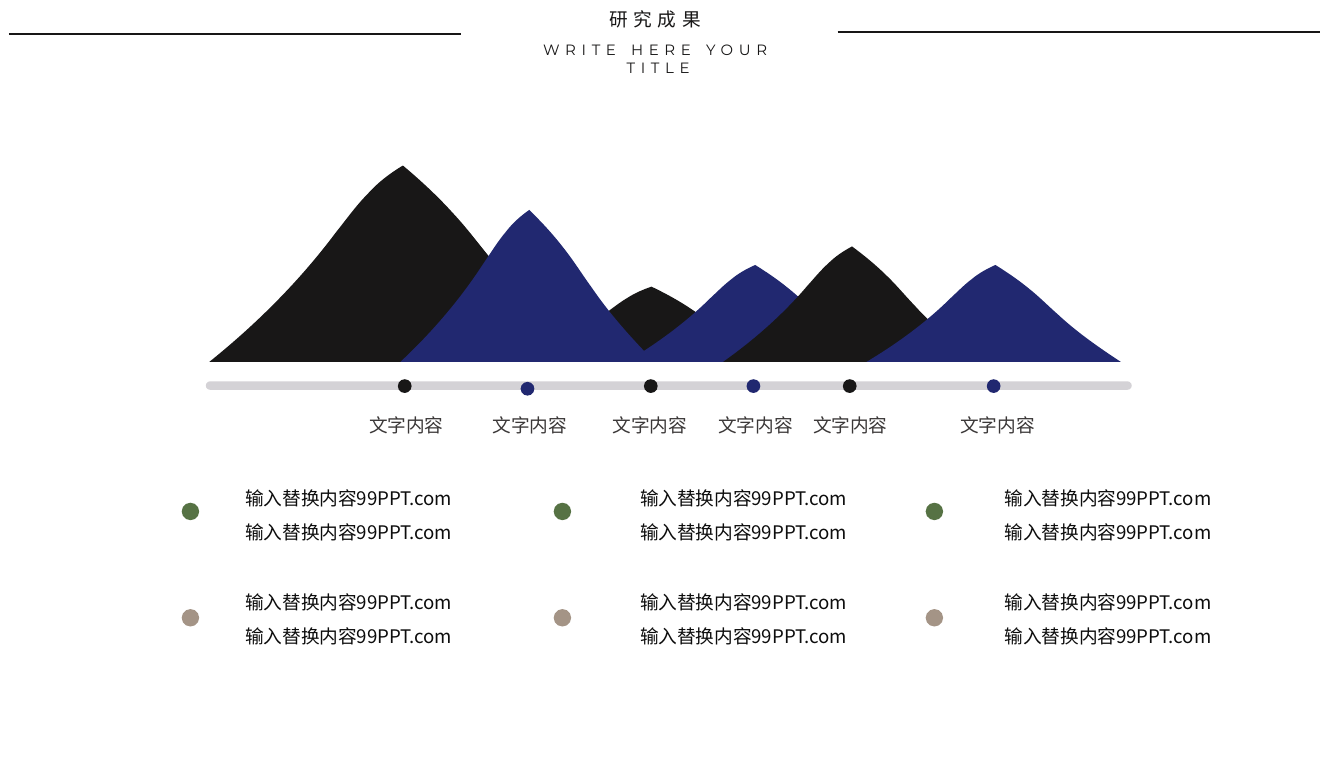
from itertools import product
from typing import NamedTuple

from lxml.etree import SubElement
from pptx import Presentation
from pptx.dml.color import RGBColor
from pptx.enum.shapes import MSO_CONNECTOR, MSO_SHAPE
from pptx.enum.text import MSO_ANCHOR, PP_ALIGN
from pptx.oxml.ns import qn
from pptx.util import Cm, Pt

BLACK = RGBColor(0x18, 0x17, 0x17)
INK = RGBColor(0x0D, 0x0D, 0x0D)
GREY = RGBColor(0x3B, 0x38, 0x38)
SILVER = RGBColor(0xD4, 0xD2, 0xD6)
NAVY = RGBColor(0x21, 0x28, 0x70)
GREEN = RGBColor(0x56, 0x72, 0x44)
TAUPE = RGBColor(0xA4, 0x94, 0x86)
CJK = "Noto Sans CJK SC"
LATIN = "Montserrat"

BASE_Y = 6.84
SLOPE_PERCENTS = [
    ((91.2, 84.9), (82.7, 69.2), (75.4, 51.4)),
    ((71.5, 42.5), (68, 32.9), (63.7, 24)),
    ((59.9, 15.8), (55.3, 7.5), (50.7, 0)),
    ((47.2, 4.1), (44, 8.9), (41.5, 14.4)),
    ((38.4, 20.5), (35.9, 27.4), (33.1, 34.2)),
    ((23.6, 58.9), (12.3, 80.8), (0, 100)),
]


class Mountain(NamedTuple):
    left: float
    width: float
    height: float
    color: RGBColor


class Milestone(NamedTuple):
    dot_x: float
    dot_y: float
    label_x: float
    color: RGBColor


class Style(NamedTuple):
    font: str
    size: float
    color: RGBColor
    align: PP_ALIGN = PP_ALIGN.CENTER
    tracking: int = 0
    line_spacing: float | None = None


MOUNTAINS = [
    Mountain(9.88, 4.8, 1.42, BLACK),
    Mountain(3.96, 7.21, 3.71, BLACK),
    Mountain(7.57, 4.8, 2.87, NAVY),
    Mountain(11.84, 4.8, 1.83, NAVY),
    Mountain(13.67, 4.8, 2.18, BLACK),
    Mountain(16.38, 4.8, 1.83, NAVY),
]
MILESTONES = [
    Milestone(7.65, 7.3, 7.68, BLACK),
    Milestone(9.97, 7.35, 10.01, NAVY),
    Milestone(12.3, 7.3, 12.28, BLACK),
    Milestone(14.24, 7.3, 14.28, NAVY),
    Milestone(16.06, 7.3, 16.07, BLACK),
    Milestone(18.78, 7.3, 18.85, NAVY),
]
HEADING = Style(CJK, 10, BLACK, PP_ALIGN.LEFT, tracking=300)
SUBHEADING = Style(LATIN, 8, BLACK, tracking=300)
LABEL = Style(CJK, 10, GREY, line_spacing=1.2)
BODY = Style(CJK, 10, INK)


def paint(shape, color: RGBColor) -> None:
    shape.shadow.inherit = False
    shape.fill.solid()
    shape.fill.fore_color.rgb = color
    shape.line.fill.background()


def add_rule(slide, left: float, right: float, y: float) -> None:
    rule = slide.shapes.add_connector(
        MSO_CONNECTOR.STRAIGHT, Cm(left), Cm(y), Cm(right), Cm(y))
    rule.line.color.rgb = BLACK
    rule.line.width = Pt(1)
    SubElement(rule._element.spPr, qn("a:effectLst"))


def add_mountain(slide, mountain: Mountain) -> None:
    left, top = Cm(mountain.left), Cm(BASE_Y - mountain.height)
    width, height = Cm(mountain.width), Cm(mountain.height)
    slopes = [[(round(width * x / 100), round(height * y / 100)) for x, y in slope]
              for slope in SLOPE_PERCENTS]
    builder = slide.shapes.build_freeform(left, top + height)
    builder.add_line_segments(
        [(left + width, top + height)] + [(left + x, top + y) for *_, (x, y) in slopes],
        close=True)
    peak = builder.convert_to_shape()
    segments = list(peak._element.iter(qn("a:lnTo")))[1:]
    for segment, slope in zip(segments, slopes):
        curve = segment.makeelement(qn("a:cubicBezTo"))
        for x, y in slope:
            SubElement(curve, qn("a:pt"), x=str(x), y=str(y))
        segment.getparent().replace(segment, curve)
    paint(peak, mountain.color)


def add_dot(slide, x: float, y: float, size: float, color: RGBColor) -> None:
    dot = slide.shapes.add_shape(
        MSO_SHAPE.OVAL, Cm(x - size / 2), Cm(y - size / 2), Cm(size), Cm(size))
    paint(dot, color)


def add_text(slide, lines: list[str], left: float, top: float, width: float,
             height: float, style: Style, wrap: bool = True):
    frame = slide.shapes.add_textbox(Cm(left), Cm(top), Cm(width), Cm(height)).text_frame
    frame.word_wrap = wrap
    for index, line in enumerate(lines):
        paragraph = frame.add_paragraph() if index else frame.paragraphs[0]
        paragraph.text = line
        paragraph.alignment = style.align
        if index:
            paragraph.space_before = Pt(6)
        if style.line_spacing:
            paragraph.line_spacing = style.line_spacing
        paragraph.font.name = style.font
        paragraph.font.size = Pt(style.size)
        paragraph.font.color.rgb = style.color
        defaults = paragraph._p.pPr.find(qn("a:defRPr"))
        SubElement(defaults, qn("a:ea")).set("typeface", style.font)
        if style.tracking:
            defaults.set("spc", str(style.tracking))
    return frame


def add_milestone(slide, milestone: Milestone) -> None:
    add_dot(slide, milestone.dot_x, milestone.dot_y, 0.26, milestone.color)
    label = add_text(slide, ["文字内容"], milestone.label_x - 0.71, 7.73, 1.42, 0.51,
                     LABEL, wrap=False)
    label.vertical_anchor = MSO_ANCHOR.MIDDLE
    label.margin_left = label.margin_right = label.margin_top = label.margin_bottom = 0


def main() -> None:
    presentation = Presentation()
    presentation.slide_width = Cm(25.4)
    presentation.slide_height = Cm(14.5)
    slide = presentation.slides.add_slide(presentation.slide_layouts[6])

    add_rule(slide, 0.17, 8.71, 0.64)
    add_rule(slide, 15.83, 24.94, 0.61)
    add_text(slide, ["WRITE HERE YOUR TITLE"], 9.94, 0.65, 5, 0.94, SUBHEADING)
    add_text(slide, ["研究成果"], 11.27, 0.03, 2.36, 0.69, HEADING, wrap=False)

    for mountain in MOUNTAINS:
        add_mountain(slide, mountain)

    timeline = slide.shapes.add_shape(
        MSO_SHAPE.ROUNDED_RECTANGLE, Cm(3.89), Cm(7.21), Cm(17.5), Cm(0.16))
    timeline.adjustments[0] = 0.5
    paint(timeline, SILVER)
    for milestone in MILESTONES:
        add_milestone(slide, milestone)

    columns = enumerate([3.86, 11.32, 18.21])
    rows = enumerate([GREEN, TAUPE])
    for (column, text_left), (row, color) in product(columns, rows):
        add_dot(slide, 3.6 + 7.03 * column, 9.67 + 2.01 * row, 0.33, color)
        add_text(slide, ["输入替换内容99PPT.com"] * 2,
                 text_left, 9.08 + 1.97 * row, 5.46, 1.32, BODY)

    presentation.save("out.pptx")


if __name__ == "__main__":
    main()
